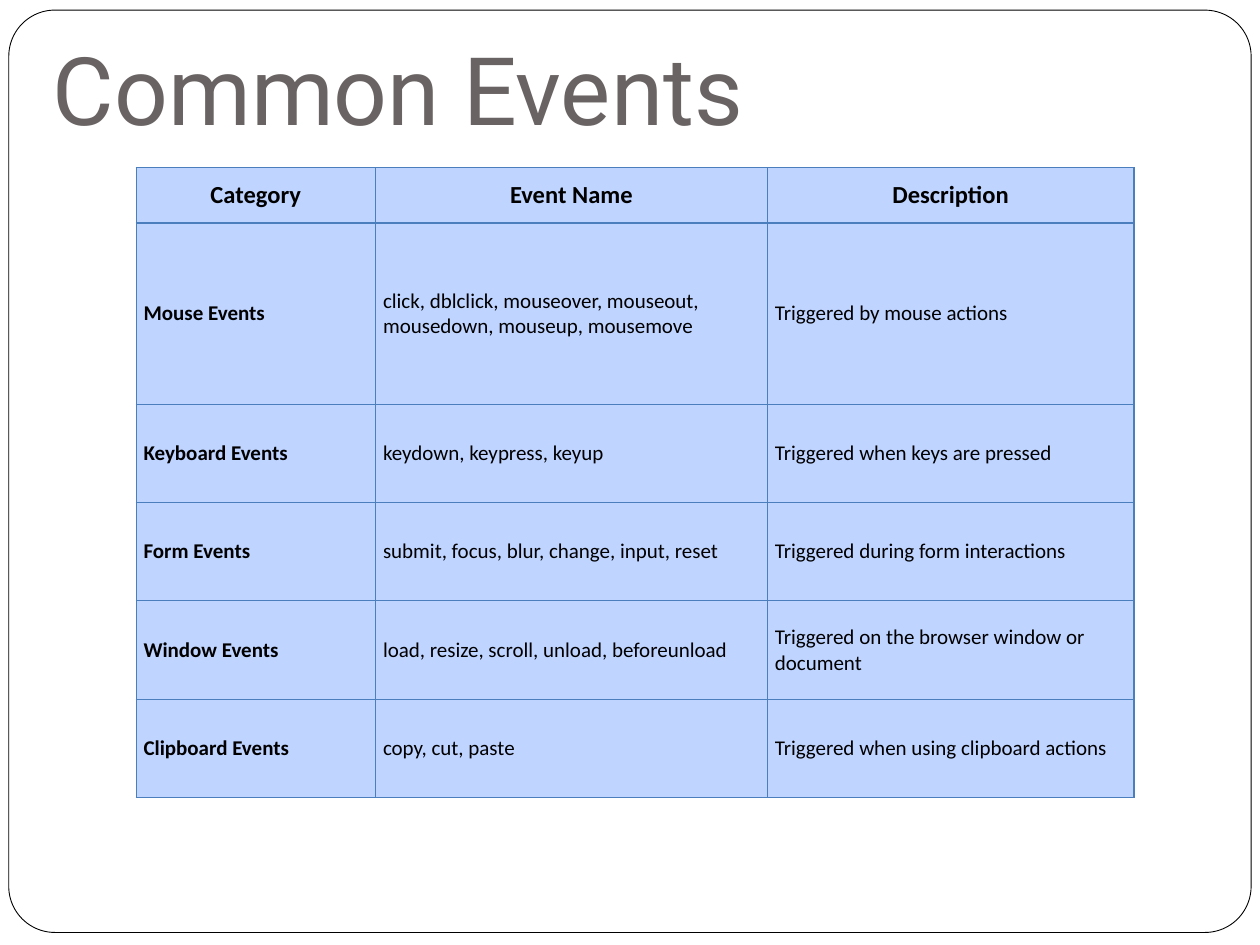
from dataclasses import dataclass

from lxml import etree
from pptx import Presentation
from pptx.dml.color import RGBColor
from pptx.enum.shapes import MSO_SHAPE
from pptx.enum.text import MSO_ANCHOR, MSO_AUTO_SIZE, PP_ALIGN
from pptx.oxml.ns import qn
from pptx.util import Inches, Pt

ROUND = MSO_SHAPE.ROUNDED_RECTANGLE
TOP, MIDDLE = MSO_ANCHOR.TOP, MSO_ANCHOR.MIDDLE
LEFT, CENTER = PP_ALIGN.LEFT, PP_ALIGN.CENTER
GROW = MSO_AUTO_SIZE.SHAPE_TO_FIT_TEXT

BLACK = RGBColor(0x00, 0x00, 0x00)
GRAY = RGBColor(0x69, 0x63, 0x63)
PALE = RGBColor(0xBF, 0xD4, 0xFF)
BLUE = RGBColor(0x4B, 0x7E, 0xBC)

WIDE, HIGH = Inches(10), Inches(7.5)


@dataclass
class Box:
    """A place on the slide, in percent of its width and height."""
    left: float
    top: float
    width: float
    height: float

    def lengths(self) -> tuple[int, int, int, int]:
        return (int(WIDE * self.left / 100), int(HIGH * self.top / 100),
                int(WIDE * self.width / 100), int(HIGH * self.height / 100))


@dataclass
class Style:
    font: str
    size: float
    color: RGBColor
    bold: bool = False
    align: PP_ALIGN = LEFT


@dataclass
class Event:
    group: str
    names: str
    about: str


FRAME = Box(0.7, 1.07, 98.6, 97.6)
TITLE = Box(4.2, 3.33, 87, 12.13)
GRID = Box(10.8, 17.73, 79.2, 66.67)
COLS = (1.9, 3.11, 2.91)
ROWS = (0.44, 1.44) + (0.78,) * 4

HEAD = Style("Calibri", 14, BLACK, True, CENTER)
LABEL = Style("Calibri", 12, BLACK, True)
BODY = Style("Calibri", 12, BLACK)

EVENTS = [
    Event("Category", "Event Name", "Description"),
    Event("Mouse Events",
          "click, dblclick, mouseover, mouseout, mousedown, mouseup, mousemove",
          "Triggered by mouse actions"),
    Event("Keyboard Events", "keydown, keypress, keyup",
          "Triggered when keys are pressed"),
    Event("Form Events", "submit, focus, blur, change, input, reset",
          "Triggered during form interactions"),
    Event("Window Events", "load, resize, scroll, unload, beforeunload",
          "Triggered on the browser window or document"),
    Event("Clipboard Events", "copy, cut, paste",
          "Triggered when using clipboard actions"),
]


def write(frame, text: str, style: Style) -> None:
    para = frame.paragraphs[0]
    para.alignment = style.align
    run = para.add_run()
    run.text = text
    font = run.font
    font.name, font.size, font.bold = style.font, Pt(style.size), style.bold
    font.color.rgb = style.color


def edge(cell) -> None:
    props = cell._tc.get_or_add_tcPr()
    for side in ("lnL", "lnR", "lnT", "lnB"):
        line = etree.SubElement(props, qn(f"a:{side}"), w=str(Pt(0.75)))
        fill = etree.SubElement(line, qn("a:solidFill"))
        etree.SubElement(fill, qn("a:srgbClr"), val=str(BLUE))


def draw_cell(cell, text: str, style: Style) -> None:
    cell.margin_left = cell.margin_right = Inches(0.06)
    cell.margin_top = cell.margin_bottom = Inches(0.03)
    cell.vertical_anchor = MIDDLE
    edge(cell)
    cell.fill.solid()
    cell.fill.fore_color.rgb = PALE
    write(cell.text_frame, text, style)


def draw_frame(slide, box: Box) -> None:
    shape = slide.shapes.add_shape(ROUND, *box.lengths())
    shape.adjustments[0] = 0.05
    shape.shadow.inherit = False
    shape.fill.background()
    shape.line.color.rgb = BLACK
    shape.line.width = Pt(0.5)
    # Send behind the title
    slide.shapes.element.insert(2, shape.element)


def draw_title(slide, box: Box, text: str) -> None:
    title = slide.shapes.title
    title.left, title.top, title.width, title.height = box.lengths()
    frame = title.text_frame
    frame.margin_left = frame.margin_right = 0
    frame.margin_top = frame.margin_bottom = 0
    frame.vertical_anchor = TOP
    frame.word_wrap = True
    frame.auto_size = GROW
    write(frame, text, Style("Roboto", 54, GRAY))


def draw_table(slide, box: Box, events: list[Event]) -> None:
    table = slide.shapes.add_table(len(ROWS), len(COLS), *box.lengths()).table
    for col, width in zip(table.columns, COLS):
        col.width = Inches(width)
    for row, height in zip(table.rows, ROWS):
        row.height = Inches(height)
    for i, event in enumerate(events):
        styles = (LABEL, BODY, BODY) if i else (HEAD,) * 3
        texts = (event.group, event.names, event.about)
        for j, (text, style) in enumerate(zip(texts, styles)):
            draw_cell(table.cell(i, j), text, style)


def main() -> None:
    deck = Presentation()
    deck.slide_width, deck.slide_height = WIDE, HIGH
    slide = deck.slides.add_slide(deck.slide_layouts[5])
    draw_frame(slide, FRAME)
    draw_title(slide, TITLE, "Common Events")
    draw_table(slide, GRID, EVENTS)
    deck.save("out.pptx")


if __name__ == "__main__":
    main()
